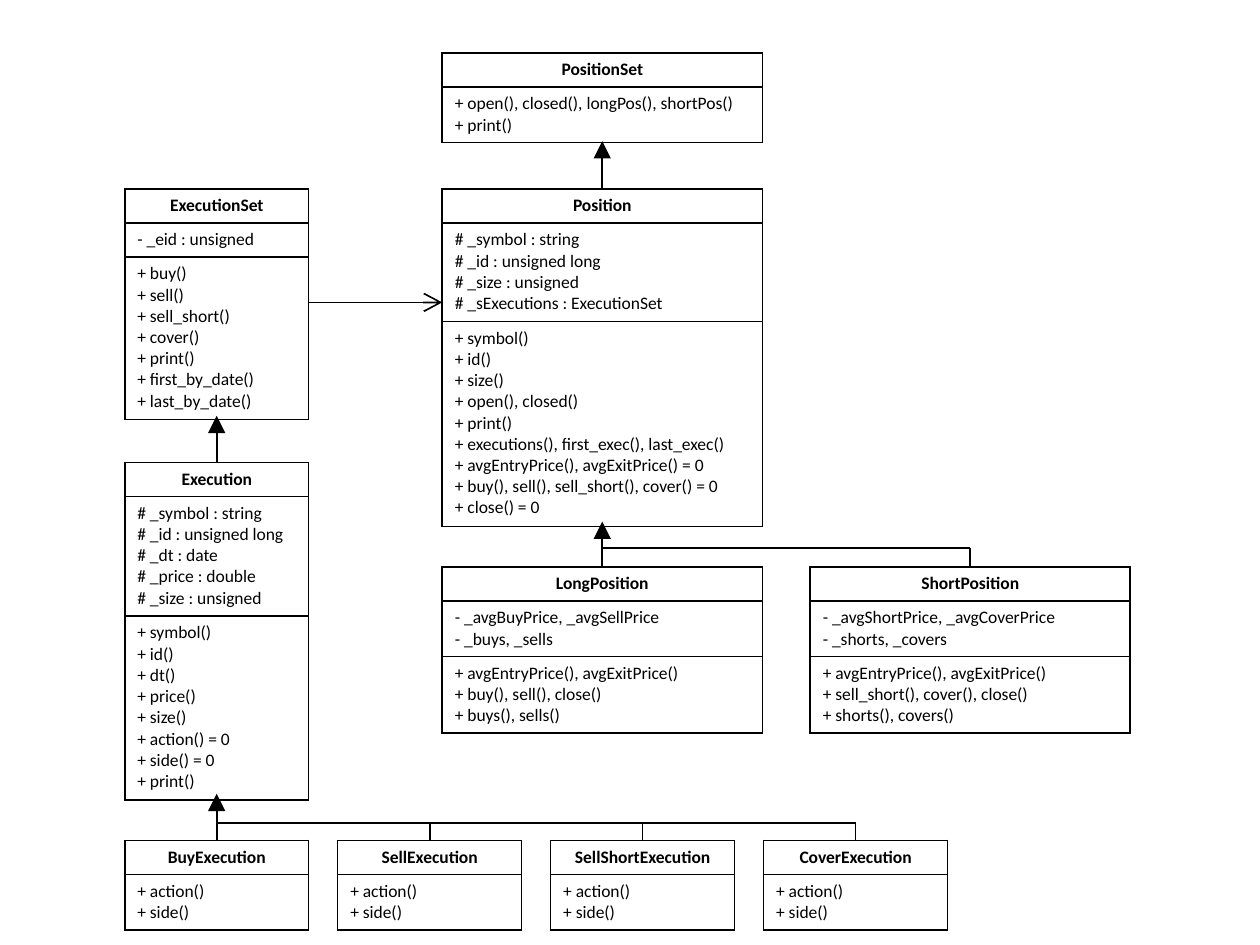
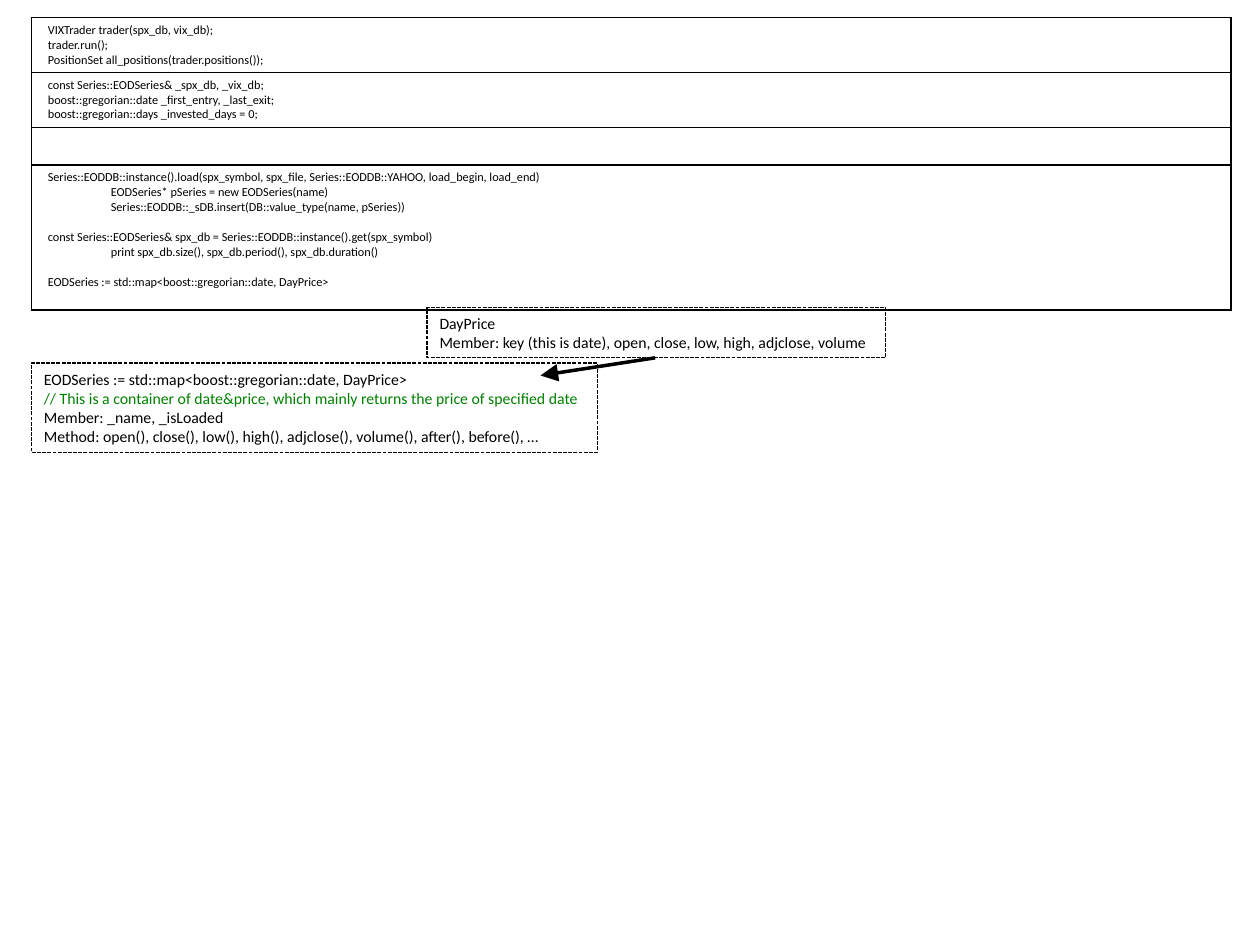
from lxml.etree import SubElement
from pptx import Presentation
from pptx.dml.color import RGBColor
from pptx.enum.dml import MSO_LINE
from pptx.enum.shapes import MSO_CONNECTOR, MSO_SHAPE
from pptx.enum.text import MSO_ANCHOR, PP_ALIGN
from pptx.oxml.ns import qn
from pptx.util import Inches, Pt

FONT = "Calibri"
COLORS = {"ink": "000000", "comment": "008000"}

LINE_HEIGHT = 0.17
CELL_PADDING = 0.1
NARROW, WIDE = 1.46, 2.54
EXECUTION_LEFT, EXECUTION_STEP, EXECUTION_TOP = 0.99, 1.69, 6.67
POSITION_LEFT, SHORT_LEFT, SUBPOSITION_TOP = 3.51, 6.43, 4.5

EXECUTION_KINDS = ["BuyExecution", "SellExecution", "SellShortExecution", "CoverExecution"]

EXECUTION_SET = [
    ["- _eid : unsigned"],
    ["+ buy()", "+ sell()", "+ sell_short()", "+ cover()", "+ print()",
     "+ first_by_date()", "+ last_by_date()"],
]
EXECUTION = [
    ["# _symbol : string", "# _id : unsigned long", "# _dt : date",
     "# _price : double", "# _size : unsigned"],
    ["+ symbol()", "+ id()", "+ dt()", "+ price()", "+ size()",
     "+ action() = 0", "+ side() = 0", "+ print()"],
]
POSITION = [
    ["# _symbol : string", "# _id : unsigned long", "# _size : unsigned",
     "# _sExecutions : ExecutionSet"],
    ["+ symbol()", "+ id()", "+ size()", "+ open(), closed()", "+ print()",
     "+ executions(), first_exec(), last_exec()",
     "+ avgEntryPrice(), avgExitPrice() = 0",
     "+ buy(), sell(), sell_short(), cover() = 0", "+ close() = 0"],
]
LONG_POSITION = [
    ["- _avgBuyPrice, _avgSellPrice", "- _buys, _sells"],
    ["+ avgEntryPrice(), avgExitPrice()", "+ buy(), sell(), close()", "+ buys(), sells()"],
]
SHORT_POSITION = [
    ["- _avgShortPrice, _avgCoverPrice", "- _shorts, _covers"],
    ["+ avgEntryPrice(), avgExitPrice()", "+ sell_short(), cover(), close()",
     "+ shorts(), covers()"],
]

# Each code row: its height and its groups of (level, line)
CODE_ROWS = [
    (0.43, [[(0, "VIXTrader trader(spx_db, vix_db);"),
             (0, "trader.run();"),
             (0, "PositionSet all_positions(trader.positions());")]]),
    (0.43, [[(0, "const Series::EODSeries& _spx_db, _vix_db;"),
             (0, "boost::gregorian::date _first_entry, _last_exit;"),
             (0, "boost::gregorian::days _invested_days = 0;")]]),
    (0.3, []),
    (1.15, [[(0, "Series::EODDB::instance().load(spx_symbol, spx_file, "
                 "Series::EODDB::YAHOO, load_begin, load_end)"),
             (1, "EODSeries* pSeries = new EODSeries(name)"),
             (1, "Series::EODDB::_sDB.insert(DB::value_type(name, pSeries))")],
            [(0, "const Series::EODSeries& spx_db = Series::EODDB::instance().get(spx_symbol)"),
             (1, "print spx_db.size(), spx_db.period(), spx_db.duration()")],
            [(0, "EODSeries := std::map<boost::gregorian::date, DayPrice>")]]),
]


def color(name):
    return RGBColor.from_string(COLORS[name])


def write(frame, lines, size, bold=False, align=PP_ALIGN.LEFT):
    frame.text = "\n".join(lines)
    for para in frame.paragraphs:
        para.alignment = align
        for span in para.runs:
            span.font.name = FONT
            span.font.size = Pt(size)
            span.font.bold = bold
            is_comment = span.text.startswith("//")
            span.font.color.rgb = color("comment" if is_comment else "ink")


def outline_cell(cell):
    cell.fill.background()
    properties = cell._tc.get_or_add_tcPr()
    for index, side in enumerate(("lnL", "lnR", "lnT", "lnB")):
        border = SubElement(properties, qn(f"a:{side}"), w=str(Pt(1)))
        fill = SubElement(border, qn("a:solidFill"))
        SubElement(fill, qn("a:srgbClr"), val=COLORS["ink"])
        properties.insert(index, border)


def add_stack(page, left, top, width, heights):
    """Add a one-column outlined table and return its cells."""
    frame = page.shapes.add_table(len(heights), 1, Inches(left), Inches(top),
                                  Inches(width), Inches(sum(heights)))
    table = frame.table
    table.first_row = table.horz_banding = False
    cells = []
    for row, height in zip(table.rows, heights):
        row.height = Inches(height)
        outline_cell(row.cells[0])
        cells.append(row.cells[0])
    return cells


def add_class(page, left, top, width, name, sections):
    rows = [[name], *sections]
    heights = [CELL_PADDING + LINE_HEIGHT * len(lines) for lines in rows]
    cells = add_stack(page, left, top, width, heights)
    write(cells[0].text_frame, rows[0], 10, True, PP_ALIGN.CENTER)
    for cell, lines in zip(cells[1:], sections):
        write(cell.text_frame, lines, 10)


def add_line(page, start, end, arrow=None, weight=1):
    """Draw a line; the arrowhead, if any, sits at its end."""
    line = page.shapes.add_connector(MSO_CONNECTOR.STRAIGHT,
                                     *map(Inches, (*start, *end)))
    line.line.color.rgb = color("ink")
    line.line.width = Pt(weight)
    if arrow:
        SubElement(line.line._get_or_add_ln(), qn("a:tailEnd"),
                   type=arrow, w="lg", len="lg")
    SubElement(line._element.spPr, qn("a:effectLst"))


def add_inheritance(page, center, parent_bottom, child_top, rail=None, branches=()):
    """Join a parent to the child below it and to branches on a rail."""
    add_line(page, (center, child_top), (center, parent_bottom), "triangle")
    if branches:
        add_line(page, (center, rail), (branches[-1], rail))
    for branch in branches:
        add_line(page, (branch, rail), (branch, child_top))


def add_note(page, left, top, width, height, lines):
    box = page.shapes.add_shape(MSO_SHAPE.RECTANGLE, Inches(left), Inches(top),
                                Inches(width), Inches(height))
    box.shadow.inherit = False
    box.fill.background()
    box.line.color.rgb = color("ink")
    box.line.width = Pt(0.75)
    box.line.dash_style = MSO_LINE.SQUARE_DOT
    box.text_frame.word_wrap = False
    box.text_frame.vertical_anchor = MSO_ANCHOR.MIDDLE
    write(box.text_frame, lines, 9)


def add_code_cell(cell, groups):
    cell.margin_left = cell.margin_right = Inches(0.13)
    cell.margin_top = cell.margin_bottom = Inches(0.04)
    frame = cell.text_frame
    if not groups:
        SubElement(frame.paragraphs[0]._p, qn("a:endParaRPr"), sz="700")
        return
    write(frame, [line for group in groups for _, line in group], 7)
    paras = iter(frame.paragraphs)
    for group_index, group in enumerate(groups):
        for line_index, (level, _) in enumerate(group):
            para = next(paras)
            if level:
                para.level = level
                properties = para._p.get_or_add_pPr()
                properties.set("marL", str(Inches(0.5)))
                properties.set("indent", "0")
            if group_index and not line_index:
                para.space_before = Pt(8.5)


def build_class_diagram(page):
    add_class(page, EXECUTION_LEFT, 1.5, NARROW, "ExecutionSet", EXECUTION_SET)
    add_class(page, EXECUTION_LEFT, 3.67, NARROW, "Execution", EXECUTION)
    lefts = [EXECUTION_LEFT + EXECUTION_STEP * i for i in range(len(EXECUTION_KINDS))]
    for left, name in zip(lefts, EXECUTION_KINDS):
        add_class(page, left, EXECUTION_TOP, NARROW, name, [["+ action()", "+ side()"]])

    add_class(page, POSITION_LEFT, 0.42, WIDE, "PositionSet",
              [["+ open(), closed(), longPos(), shortPos()", "+ print()"]])
    add_class(page, POSITION_LEFT, 1.5, WIDE, "Position", POSITION)
    add_class(page, POSITION_LEFT, SUBPOSITION_TOP, WIDE, "LongPosition", LONG_POSITION)
    add_class(page, SHORT_LEFT, SUBPOSITION_TOP, WIDE, "ShortPosition", SHORT_POSITION)

    centers = [left + NARROW / 2 for left in lefts]
    add_inheritance(page, centers[0], 3.3, 3.67)
    add_inheritance(page, centers[0], 6.3, EXECUTION_TOP, 6.53, centers[1:])
    position_center = POSITION_LEFT + WIDE / 2
    add_inheritance(page, position_center, 1.12, 1.5)
    add_inheritance(page, position_center, 4.14, SUBPOSITION_TOP, 4.35,
                    [SHORT_LEFT + WIDE / 2])
    add_line(page, (EXECUTION_LEFT + NARROW, 2.4), (POSITION_LEFT, 2.4), "arrow")


def build_code_page(page):
    cells = add_stack(page, 0.25, 0.14, 9.52, [height for height, _ in CODE_ROWS])
    for cell, (_, groups) in zip(cells, CODE_ROWS):
        add_code_cell(cell, groups)
    add_note(page, 0.25, 2.88, 4.49, 0.71, [
        "EODSeries := std::map<boost::gregorian::date, DayPrice>",
        "// This is a container of date&price, which mainly returns the price of specified date",
        "Member: _name, _isLoaded",
        "Method: open(), close(), low(), high(), adjclose(), volume(), after(), before(), …",
    ])
    add_note(page, 3.39, 2.44, 3.64, 0.4, [
        "DayPrice",
        "Member: key (this is date), open, close, low, high, adjclose, volume",
    ])
    add_line(page, (5.2, 2.84), (4.29, 2.98), "triangle", 2)


def main():
    deck = Presentation()
    deck.slide_width, deck.slide_height = Inches(10), Inches(7.5)
    blank = deck.slide_layouts[6]
    for build in (build_class_diagram, build_code_page):
        build(deck.slides.add_slide(blank))
    deck.save("out.pptx")


if __name__ == "__main__":
    main()
